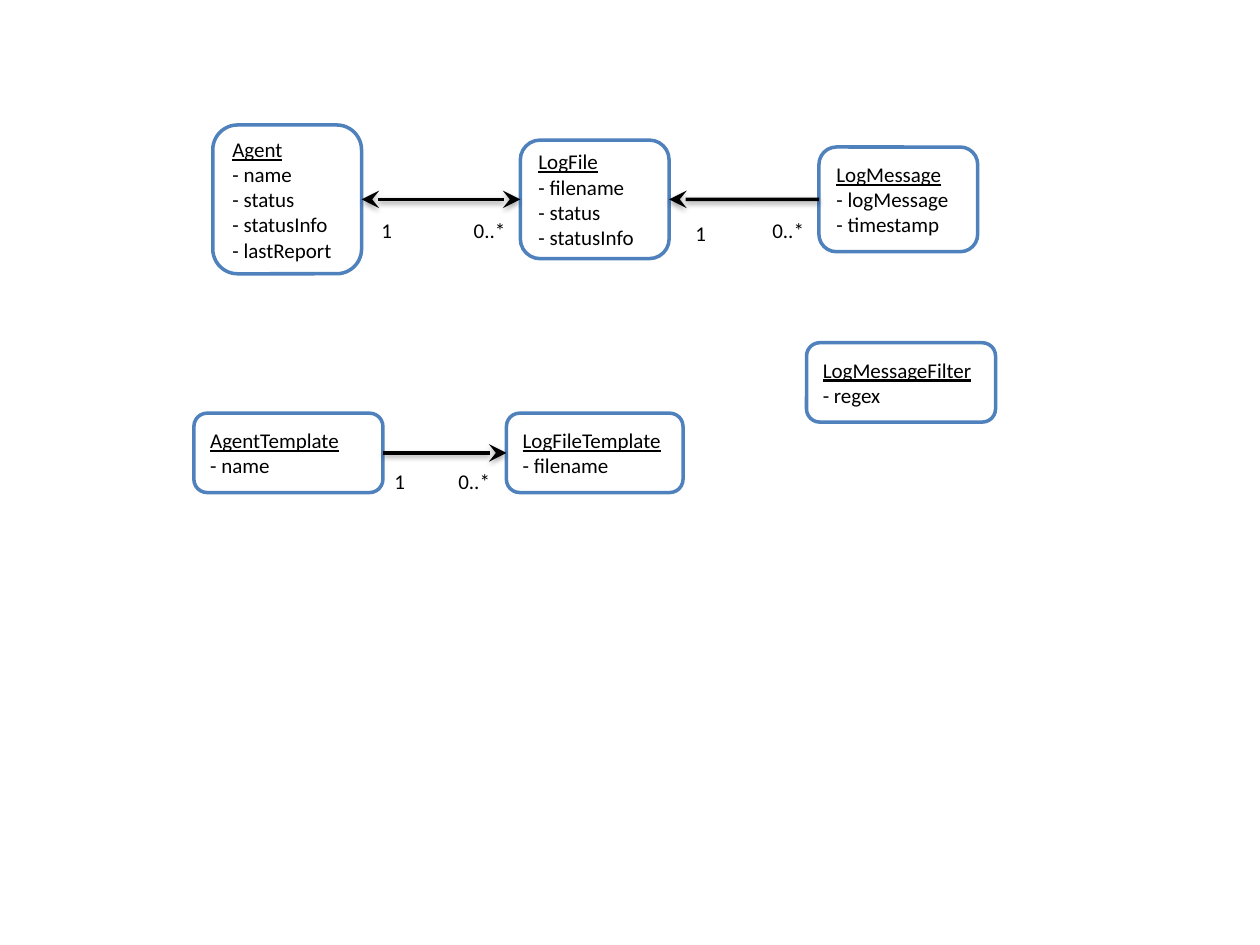
"""Builds a class diagram of agents, log files, log messages and their templates."""
from dataclasses import dataclass

import lxml.etree
import pptx
import pptx.dml.color
import pptx.enum.shapes
import pptx.enum.text
import pptx.oxml
import pptx.oxml.ns
import pptx.util

Cm = pptx.util.Cm
Pt = pptx.util.Pt
RGBColor = pptx.dml.color.RGBColor


@dataclass(frozen=True)
class Theme:
    font: str = "Calibri"
    size: int = 12
    line_width: int = 2
    text: RGBColor = RGBColor(0x00, 0x00, 0x00)
    arrow: RGBColor = RGBColor(0x00, 0x00, 0x00)
    box_fill: RGBColor = RGBColor(0xFF, 0xFF, 0xFF)
    box_line: RGBColor = RGBColor(0x4F, 0x81, 0xBD)


theme = Theme()


def write(frame, lines, underline_first=False, wrap=True, anchor="TOP"):
    frame.word_wrap = wrap
    frame.vertical_anchor = getattr(pptx.enum.text.MSO_ANCHOR, anchor)
    for index, line in enumerate(lines):
        paragraph = frame.paragraphs[0] if index == 0 else frame.add_paragraph()
        paragraph.alignment = pptx.enum.text.PP_ALIGN.LEFT
        run = paragraph.add_run()
        run.text = line
        run.font.name = theme.font
        run.font.size = Pt(theme.size)
        run.font.color.rgb = theme.text
        run.font.underline = underline_first and index == 0


presentation = pptx.Presentation()
presentation.slide_width = Cm(25.4)
presentation.slide_height = Cm(19.05)
slide = presentation.slides.add_slide(presentation.slide_layouts[6])

live_row, filter_row, template_row = 4.02, 7.71, 9.13
classes = [
    ("Agent", ["name", "status", "statusInfo", "lastReport"], 4.29, live_row, 3, 3),
    ("LogFile", ["filename", "status", "statusInfo"], 10.49, live_row, 3, 2.39),
    ("LogMessage", ["logMessage", "timestamp"], 16.51, live_row, 3.2, 2.11),
    ("LogMessageFilter", ["regex"], 16.26, filter_row, 3.81, 1.6),
    ("AgentTemplate", ["name"], 3.91, template_row, 3.81, 1.6),
    ("LogFileTemplate", ["filename"], 10.21, template_row, 3.56, 1.6),
]
class_boxes = {}
for name, fields, left, middle, width, height in classes:
    box = slide.shapes.add_shape(
        pptx.enum.shapes.MSO_SHAPE.ROUNDED_RECTANGLE,
        Cm(left), Cm(middle - height / 2), Cm(width), Cm(height))
    box.shadow.inherit = False
    box.fill.solid()
    box.fill.fore_color.rgb = theme.box_fill
    box.line.color.rgb = theme.box_line
    box.line.width = Pt(theme.line_width)
    write(box.text_frame, [name] + [f"- {field}" for field in fields],
          underline_first=True, anchor="MIDDLE")
    class_boxes[name] = box

left_site, right_site = 1, 3
shadow_xml = (
    f'<a:effectLst {pptx.oxml.ns.nsdecls("a")}>'
    '<a:outerShdw blurRad="40000" dist="20000" dir="5400000" rotWithShape="0">'
    '<a:srgbClr val="000000"><a:alpha val="38000"/></a:srgbClr>'
    '</a:outerShdw></a:effectLst>')
relations = [
    ("Agent", "LogFile", ["headEnd", "tailEnd"]),
    ("LogFile", "LogMessage", ["headEnd"]),
    ("AgentTemplate", "LogFileTemplate", ["tailEnd"]),
]
for owner, member, arrow_ends in relations:
    relation = slide.shapes.add_connector(
        pptx.enum.shapes.MSO_CONNECTOR.STRAIGHT, 0, 0, 0, 0)
    relation.begin_connect(class_boxes[owner], right_site)
    relation.end_connect(class_boxes[member], left_site)
    relation.line.color.rgb = theme.arrow
    relation.line.width = Pt(theme.line_width)
    properties = relation.line._get_or_add_ln()
    for arrow_end in arrow_ends:
        lxml.etree.SubElement(properties, pptx.oxml.ns.qn(f"a:{arrow_end}"),
                              type="stealth", w="lg", len="lg")
    relation._element.spPr.append(pptx.oxml.parse_xml(shadow_xml))

one, many = ("1", 0.74), ("0..*", 1.17)
multiplicities = [
    (one, 7.44, 4.27), (many, 9.3, 4.27),
    (one, 13.77, 4.32), (many, 15.32, 4.27),
    (one, 7.7, 9.32), (many, 8.99, 9.32),
]
for (count, width), left, top in multiplicities:
    label = slide.shapes.add_textbox(Cm(left), Cm(top), Cm(width), Cm(0.76))
    write(label.text_frame, [count], wrap=False)
    label.text_frame.auto_size = pptx.enum.text.MSO_AUTO_SIZE.SHAPE_TO_FIT_TEXT

presentation.save("out.pptx")
